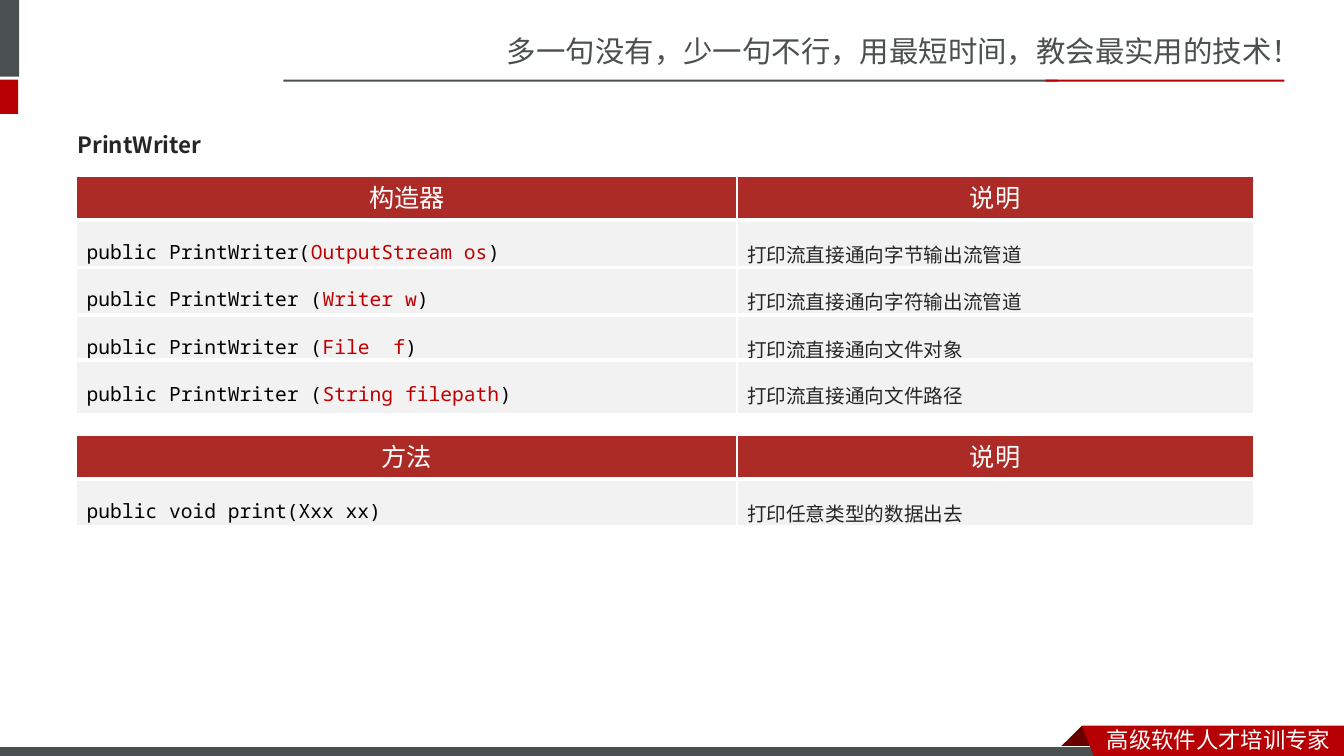
from lxml import etree
from pptx import Presentation
from pptx import util as u
from pptx.dml.color import RGBColor
from pptx.enum import shapes, text
from pptx.oxml import ns

WIDTH, HEIGHT = 13.33, 7.5
COLORS = {
    "slate": "49504F", "red": "B60004", "fold": "680000", "white": "FFFFFF",
    "header": "AD2B26", "row": "F2F2F2", "ink": "262626", "code": "000000",
    "param": "C00000",
}
CJK, MONO, HEAD = "Noto Sans CJK SC", "Noto Sans Mono", "Lato"
COLUMNS = (6.55, 5.12)
HEADER_HEIGHT = 0.43

# Each row: code before the parameter, the parameter, code after it, description
CONSTRUCTORS = [
    ("public PrintWriter(", "OutputStream os", ")", "打印流直接通向字节输出流管道"),
    ("public PrintWriter (", "Writer w", ")", "打印流直接通向字符输出流管道"),
    ("public PrintWriter (", "File  f", ")", "打印流直接通向文件对象"),
    ("public PrintWriter (", "String filepath", ")", "打印流直接通向文件路径"),
]
METHODS = [("public void print(Xxx xx)", "", "", "打印任意类型的数据出去")]


def rgb(name):
    return RGBColor.from_string(COLORS[name])


def add_run(paragraph, words, size, font, color, bold=False):
    run = paragraph.add_run()
    run.text = words
    run.font.size = u.Pt(size)
    run.font.name = font
    run.font.bold = bold
    run.font.color.rgb = rgb(color)
    east_asian = etree.SubElement(run.font._element, ns.qn("a:ea"))
    east_asian.set("typeface", CJK if font in (HEAD, MONO) else font)


def add_label(slide, box, words, size, font, color, bold=False, spacing=None):
    frame = slide.shapes.add_textbox(*map(u.Inches, box)).text_frame
    frame.word_wrap = True
    paragraph = frame.paragraphs[0]
    paragraph.line_spacing = spacing
    add_run(paragraph, words, size, font, color, bold)


def paint(shape, color, outline=None):
    shape.shadow.inherit = False
    shape.fill.solid()
    shape.fill.fore_color.rgb = rgb(color)
    if outline:
        shape.line.color.rgb = rgb(outline)
        shape.line.width = u.Pt(0.75)
    else:
        shape.line.fill.background()


def add_bar(slide, box, color, outline=None):
    bar = slide.shapes.add_shape(shapes.MSO_SHAPE.RECTANGLE, *map(u.Inches, box))
    paint(bar, color, outline)


def add_outline(slide, left, top, points, color):
    """Draw a closed outline whose points are offsets from left, top."""
    corners = [(u.Inches(left + x), u.Inches(top + y)) for x, y in points]
    builder = slide.shapes.build_freeform(*corners[0])
    builder.add_line_segments(corners[1:], close=True)
    paint(builder.convert_to_shape(), color)


def add_banner(slide, left, top, width):
    """Slogan above a two-coloured rule, with tabs on the slide's left edge."""
    add_label(slide, (left + 2.12, top - 0.51, 8.41, 0.47),
              "多一句没有，少一句不行，用最短时间，教会最实用的技术！", 21, CJK, "slate")
    add_bar(slide, (-0.06, 0, 0.25, top - 0.03), "slate")
    add_bar(slide, (-0.06, top, 0.24, 0.34), "red")
    accent = 2.37
    add_bar(slide, (left, top, 7.68, 0.02), "slate")
    add_bar(slide, (left + width - accent, top, accent, 0.02), "red")


def add_footer(slide, left, top):
    """Ribbon with a folded corner over the bar along the bottom edge."""
    ribbon = WIDTH - left
    add_outline(slide, left, top,
                [(0, 0), (0.22, 0.22), (0.21, 0.23), (-0.21, 0.23), (-0.22, 0.22)], "fold")
    add_bar(slide, (-0.01, top + 0.21, 11, 0.12), "slate", "white")
    add_outline(slide, left, top,
                [(0, 0), (ribbon, 0), (ribbon, 0.34), (0.13, 0.33)], "red")
    add_label(slide, (left + 0.15, top - 0.05, ribbon - 0.15, 0.37),
              "高级软件人才培训专家", 16, CJK, "white")


def style_cell(cell, color, top_border):
    cell.vertical_anchor = text.MSO_ANCHOR.MIDDLE
    properties = cell._tc.get_or_add_tcPr()
    for side, points in (("L", 1), ("R", 1), ("T", top_border), ("B", 3)):
        border = etree.SubElement(properties, ns.qn("a:ln" + side), w=str(u.Pt(points)))
        solid = etree.SubElement(border, ns.qn("a:solidFill"))
        etree.SubElement(solid, ns.qn("a:srgbClr"), val=COLORS["white"])
    cell.fill.solid()
    cell.fill.fore_color.rgb = rgb(color)


def add_api_table(slide, left, top, headings, entries, heights):
    heights = [HEADER_HEIGHT, *heights]
    frame = slide.shapes.add_table(
        len(heights), len(COLUMNS),
        *map(u.Inches, (left, top, sum(COLUMNS), sum(heights))))
    table = frame.table
    for column, width in zip(table.columns, COLUMNS):
        column.width = u.Inches(width)
    for row, height in zip(table.rows, heights):
        row.height = u.Inches(height)

    for index, heading in enumerate(headings):
        cell = table.cell(0, index)
        style_cell(cell, "header", 1)
        paragraph = cell.text_frame.paragraphs[0]
        paragraph.alignment = text.PP_ALIGN.CENTER
        paragraph.line_spacing = u.Pt(24)
        add_run(paragraph, heading, 18, HEAD, "white")

    for index, (before, parameter, after, description) in enumerate(entries, 1):
        signature = [(before, MONO, "code"), (parameter, MONO, "param"), (after, MONO, "code")]
        for column, runs in enumerate((signature, [(description, CJK, "ink")])):
            cell = table.cell(index, column)
            style_cell(cell, "row", 3)
            paragraph = cell.text_frame.paragraphs[0]
            paragraph.line_spacing = 1.5
            for words, font, color in runs:
                if words:
                    add_run(paragraph, words, 14, font, color)


def add_content(slide, left, top):
    add_label(slide, (left - 0.09, top, WIDTH / 2, 0.46), "PrintWriter",
              16, "Noto Sans CJK JP", "ink", bold=True, spacing=1.5)
    add_api_table(slide, left, top + 0.63, ("构造器", "说明"),
                  CONSTRUCTORS, (0.47, 0.47, 0.45, 0.54))
    add_api_table(slide, left, top + 3.2, ("方法", "说明"), METHODS, (0.47,))


def main():
    deck = Presentation()
    deck.slide_width, deck.slide_height = u.Inches(WIDTH), u.Inches(HEIGHT)
    slide = deck.slides.add_slide(deck.slide_layouts[6])
    add_banner(slide, 2.81, 0.79, 9.93)
    add_footer(slide, 10.73, HEIGHT - 0.3)
    add_content(slide, 0.76, 1.12)
    deck.save("out.pptx")


if __name__ == "__main__":
    main()
